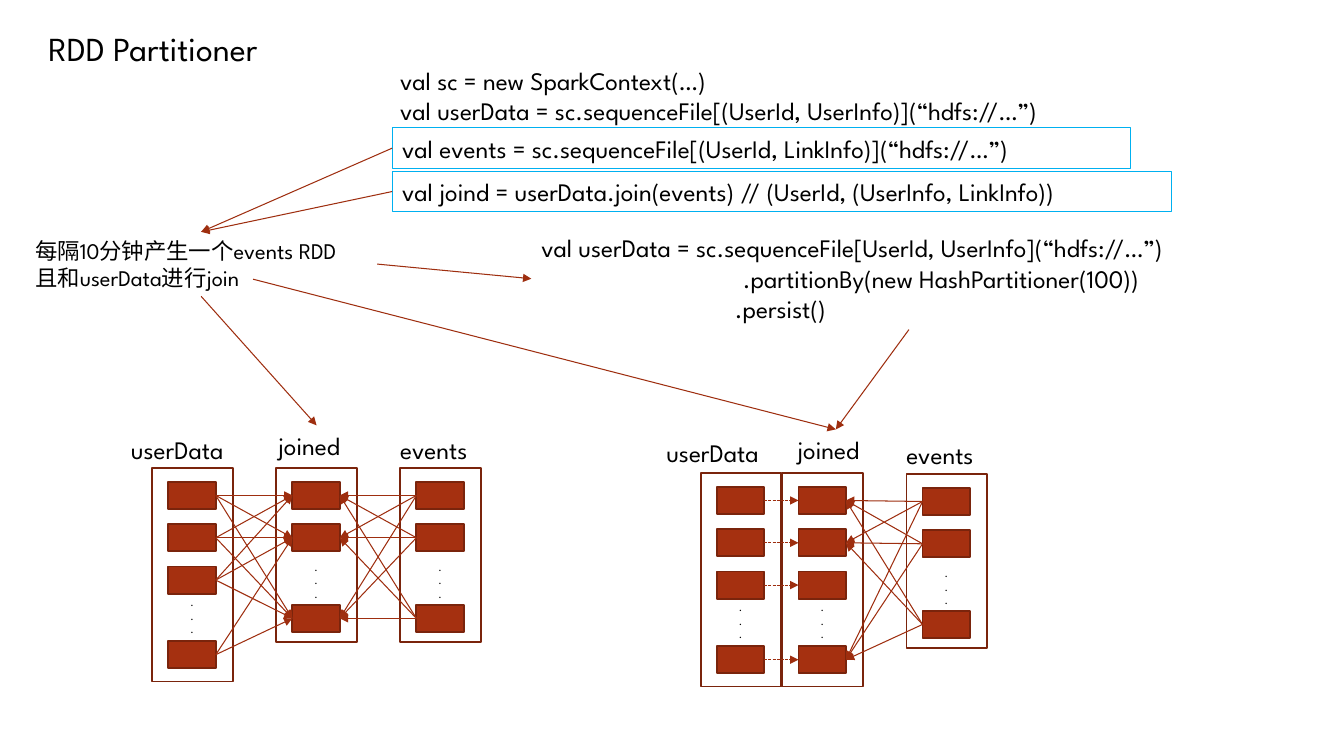
from itertools import product

from lxml.etree import SubElement
from pptx import Presentation
from pptx.dml.color import RGBColor
from pptx.enum.dml import MSO_LINE
from pptx.enum.shapes import MSO_CONNECTOR, MSO_SHAPE
from pptx.enum.text import MSO_ANCHOR, MSO_AUTO_SIZE, PP_ALIGN
from pptx.oxml.ns import qn
from pptx.util import Inches, Pt

FONT = "League Spartan"
BLACK = RGBColor(0x00, 0x00, 0x00)
BRICK = RGBColor(0xA5, 0x30, 0x10)
DARK_BRICK = RGBColor(0x7A, 0x24, 0x0C)
ARROW = RGBColor(0x9E, 0x2E, 0x0F)
CYAN = RGBColor(0x00, 0xB0, 0xF0)
TOP, LEFT, BOTTOM, RIGHT = range(4)


def cells(*values):
    """Turn grid cells (ten to the inch) into lengths."""
    return [Inches(v / 10) for v in values]


def write(sp, lines, size=18, wrap=False):
    tf = sp.text_frame
    tf.word_wrap = wrap
    tf.auto_size = MSO_AUTO_SIZE.NONE
    tf.vertical_anchor = MSO_ANCHOR.TOP
    for i, line in enumerate(lines):
        p = tf.add_paragraph() if i else tf.paragraphs[0]
        p.alignment = PP_ALIGN.LEFT
        r = p.add_run()
        r.text = line
        r.font.name = FONT
        r.font.size = Pt(size)
        r.font.color.rgb = BLACK
    return sp


prs = Presentation()
prs.slide_width, prs.slide_height = cells(133.3, 75)
s = prs.slides.add_slide(prs.slide_layouts[5])

title = s.shapes.title
title.left, title.top, title.width, title.height = cells(3.8, 2.3, 26.4, 5)
write(title, ["RDD Partitioner"], 24)

# Code and note
write(s.shapes.add_textbox(*cells(38.7, 6, 76.8, 7.1)), [
    "val sc = new SparkContext(…)",
    "val userData = sc.sequenceFile[(UserId, UserInfo)](“hdfs://…”)",
])
framed_code = []
for y, width, line in [
    (12.7, 73.2, "val events = sc.sequenceFile[(UserId, LinkInfo)](“hdfs://…”)"),
    (17, 77.3, "val joind = userData.join(events) // (UserId, (UserInfo, LinkInfo))"),
]:
    sp = write(s.shapes.add_textbox(*cells(38.9, y, width, 4)), [line])
    sp.line.color.rgb = CYAN
    sp.line.width = Pt(0.75)
    framed_code.append(sp)
note = write(s.shapes.add_textbox(*cells(2.5, 23, 34.9, 6.4)),
             ["每隔10分钟产生一个events RDD", "且和userData进行join"], 16)
partitioned = write(s.shapes.add_textbox(*cells(52.7, 22.6, 74.9, 10.1)), [
    "val userData = sc.sequenceFile[UserId, UserInfo](“hdfs://…”)",
    ".partitionBy(new HashPartitioner(100))",
    ".persist()",
])
for p, indent in zip(partitioned.text_frame.paragraphs[1:], cells(20, 19.2)):
    p._p.get_or_add_pPr().set("marL", str(indent))

# Columns of partitions: row offsets from the frame top, frame height, dots offset
LONG = ([1.4, 5.6, 9.8, 17.2], 21.2, 12.2)
SHORT = ([1.4, 5.6, 13.6], 17.3, 8.7)
labels, parts = [], []
for x, y, (rows, height, dots), name, label_x, label_y, label_w in [
    (15.1, 46.4, LONG, "userData", 12, 42.6, 13.1),
    (27.4, 46.4, SHORT, "joined", 26.6, 42.2, 9.6),
    (39.7, 46.4, SHORT, "events", 38.7, 42.6, 10.1),
    (69.5, 46.9, LONG, "userData", 65.1, 42.9, 13.1),
    (77.6, 46.9, LONG, "joined", 78.1, 42.6, 9.6),
    (89.9, 47, SHORT, "events", 88.9, 43.1, 10.1),
]:
    frame, *boxes = [
        s.shapes.add_shape(MSO_SHAPE.RECTANGLE, *cells(*place))
        for place in [(x, y, 8, height)] + [(x + 1.6, y + row, 4.7, 2.7) for row in rows]
    ]
    for sp in [frame, *boxes]:
        sp.shadow.inherit = False
        sp.fill.solid()
        sp.fill.fore_color.rgb = BRICK
        sp.line.color.rgb = DARK_BRICK
        sp.line.width = Pt(1.25)
    frame.fill.background()
    write(s.shapes.add_textbox(*cells(x + 2.8, y + dots, 2, 5.1)), [".", ".", "."], 8, True)
    labels.append(write(s.shapes.add_textbox(*cells(label_x, label_y, label_w, 4)), [name]))
    parts.append(boxes)

# Arrows: start shape and side, end shape and side, dashed or not
users, joined, events, users_2, joined_2, events_2 = parts
links = [(a, RIGHT, b, LEFT, False) for a, b in product(users, joined)
         if (a, b) != (users[-1], joined[0])]
links += [(a, LEFT, b, RIGHT, False) for a, b in product(events, joined)]
links += [(a, RIGHT, b, LEFT, True) for a, b in zip(users_2, joined_2)]
links += [(a, LEFT, b, RIGHT, False)
          for a, b in product(events_2, joined_2[:2] + joined_2[-1:])]
links += [(sp, LEFT, note, TOP, False) for sp in framed_code]
links += [
    (note, BOTTOM, labels[1], TOP, False),
    (note, RIGHT, partitioned, LEFT, False),
    (partitioned, BOTTOM, labels[4], TOP, False),
    (None, None, labels[4], TOP, False),
]
for start, start_side, end, end_side, dashed in links:
    line = s.shapes.add_connector(MSO_CONNECTOR.STRAIGHT, *cells(25.1, 27.7, 82.9, 42.6))
    if start is not None:
        line.begin_connect(start, start_side)
    line.end_connect(end, end_side)
    line.line.color.rgb = ARROW
    line.line.width = Pt(0.75)
    if dashed:
        line.line.dash_style = MSO_LINE.SQUARE_DOT
    SubElement(line.line._get_or_add_ln(), qn("a:tailEnd"), type="triangle")
    SubElement(line._element.spPr, qn("a:effectLst"))

prs.save("out.pptx")
